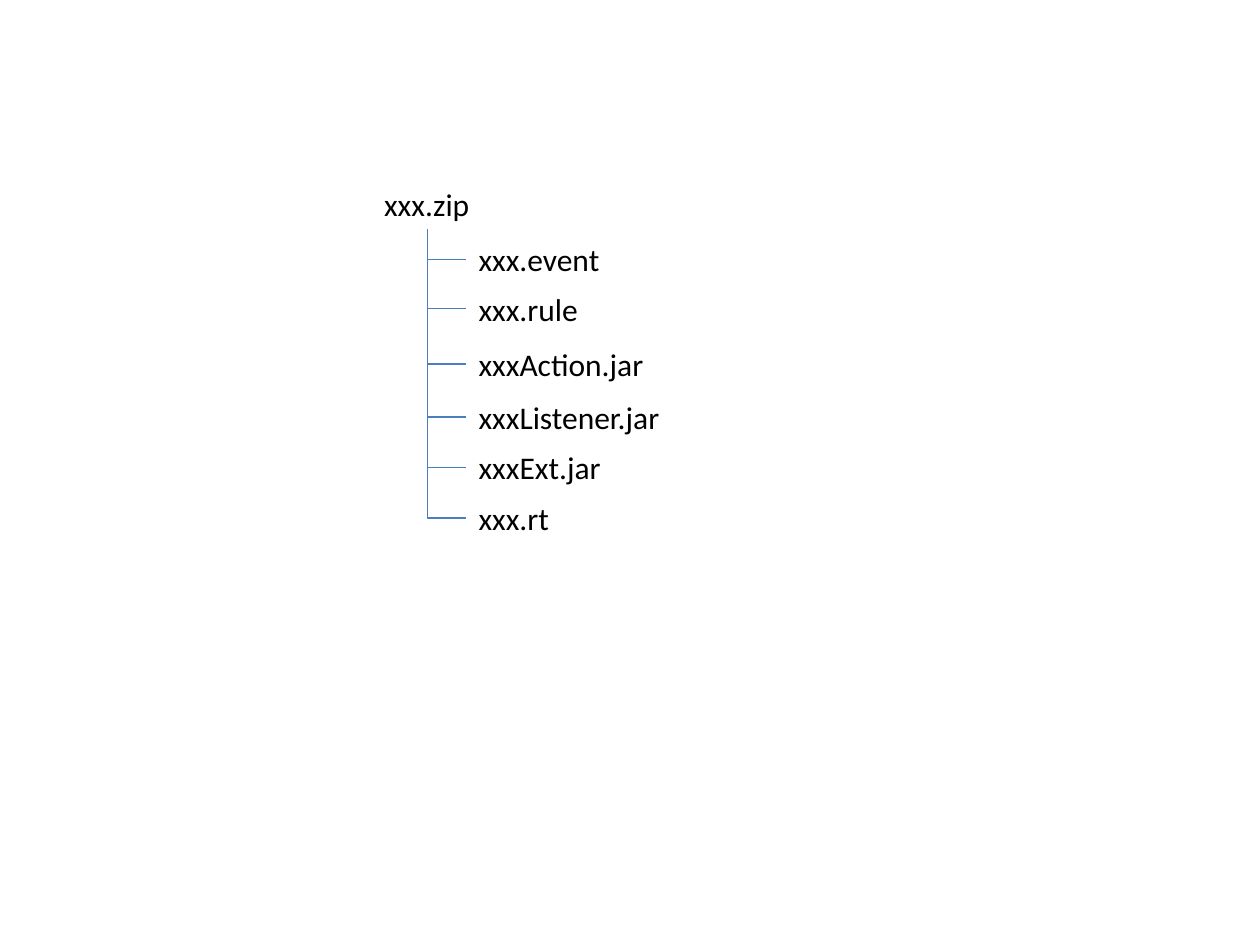
from lxml import etree
from pptx import Presentation
from pptx.dml.color import RGBColor
from pptx.enum import shapes, text
from pptx.oxml.ns import qn
from pptx.util import Inches, Pt

COLORS = {"text": "000000", "branch": "4B7EBC"}
LABEL_HEIGHT = Inches(0.4)
INDENT = Inches(0.75)

# Name, distance below the archive label, label width
FILES = [
    ("xxx.event", 0.44, 1.17),
    ("xxx.rule", 0.83, 1.0),
    ("xxxAction.jar", 1.27, 1.52),
    ("xxxListener.jar", 1.69, 1.65),
    ("xxxExt.jar", 2.09, 1.18),
    ("xxx.rt", 2.49, 0.76),
]


def add_label(slide, name, left, top, width):
    label = slide.shapes.add_textbox(left, top, width, LABEL_HEIGHT)
    frame = label.text_frame
    frame.word_wrap = False
    frame.auto_size = text.MSO_AUTO_SIZE.SHAPE_TO_FIT_TEXT
    paragraph = frame.paragraphs[0]
    paragraph.text = name
    paragraph.font.name = "Calibri"
    paragraph.font.size = Pt(18)
    paragraph.font.color.rgb = RGBColor.from_string(COLORS["text"])
    return label


def add_branch(slide, archive, file):
    """Run one elbow down from the archive's bottom, then right to the file."""
    x = archive.left + archive.width // 2
    y = archive.top + archive.height
    run = file.left - x
    drop = file.top + file.height // 2 - y
    branch = slide.shapes.add_connector(
        shapes.MSO_CONNECTOR.ELBOW, x, y, x + run, y + drop)
    branch.begin_connect(archive, 2)
    branch.end_connect(file, 1)
    branch.line.color.rgb = RGBColor.from_string(COLORS["branch"])
    branch.line.width = Pt(0.75)

    # A single-corner elbow is stored turned by 270 degrees and mirrored.
    branch.left, branch.top = x + (run - drop) // 2, y + (drop - run) // 2
    branch.width, branch.height = drop, run
    properties = branch._element.spPr
    properties.find(qn("a:prstGeom")).set("prst", "bentConnector2")
    transform = properties.find(qn("a:xfrm"))
    transform.set("rot", str(270 * 60000))
    transform.set("flipH", "1")
    etree.SubElement(properties, qn("a:effectLst"))


def add_file_tree(slide, left, top):
    archive = add_label(slide, "xxx.zip", left, top, Inches(0.88))
    files = [
        add_label(slide, name, left + INDENT, top + Inches(offset), Inches(width))
        for name, offset, width in FILES
    ]
    for file in files:
        add_branch(slide, archive, file)


def main():
    presentation = Presentation()
    presentation.slide_width = Inches(10)
    presentation.slide_height = Inches(7.5)
    slide = presentation.slides.add_slide(presentation.slide_layouts[6])
    add_file_tree(slide, Inches(2.95), Inches(1.42))
    presentation.save("out.pptx")


if __name__ == "__main__":
    main()
